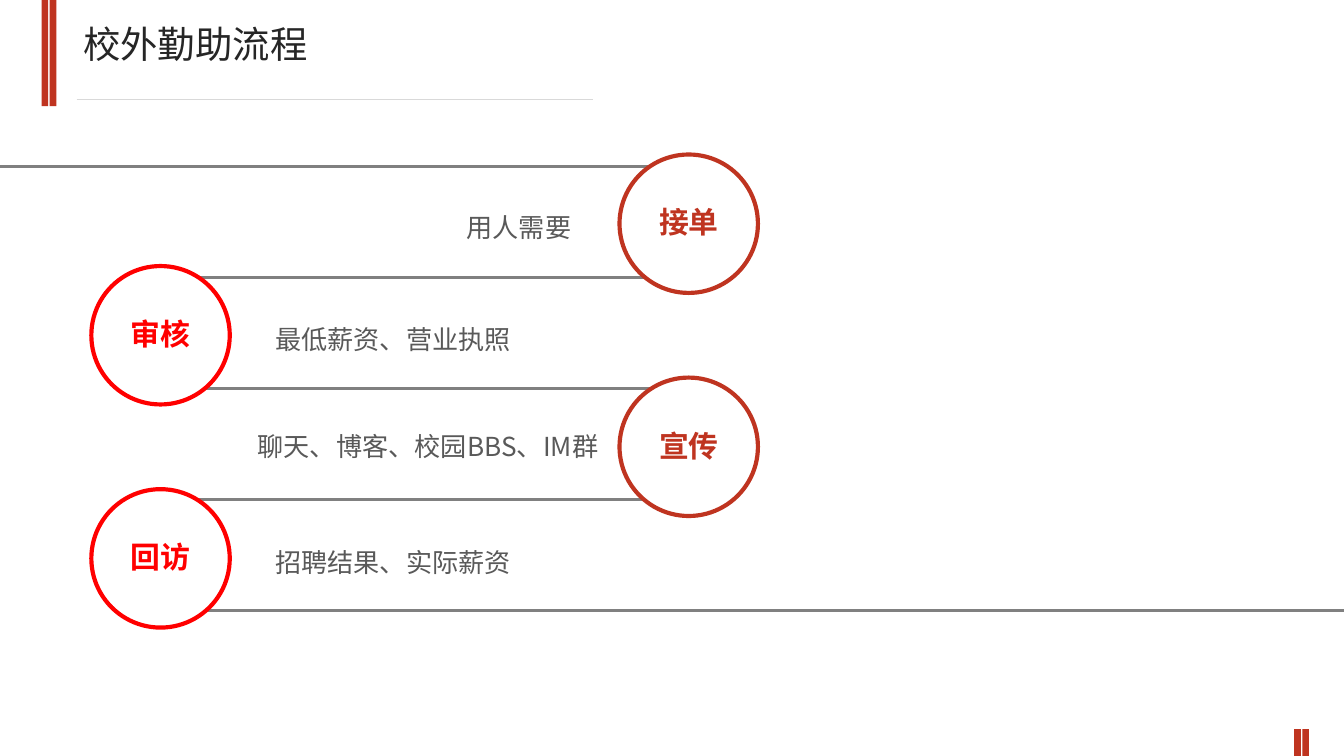
import pptx
import pptx.util
import pptx.dml.color
import pptx.enum.shapes
import pptx.enum.text
import pptx.oxml
import pptx.oxml.ns

SHAPE = pptx.enum.shapes.MSO_SHAPE
ALIGN = pptx.enum.text.PP_ALIGN
WIDTH = 10
HEIGHT = WIDTH * 9 / 16
BRICK, RED, GREY, INK = "BF3420", "FF0000", "808080", "595959"
SANS = "Noto Sans CJK SC"


def inches(*lengths):
    return [pptx.util.Inches(length) for length in lengths]


def color(hex_string):
    return pptx.dml.color.RGBColor.from_string(hex_string)


def add_rule(slide, start, end, y, hex_string, weight):
    rule = slide.shapes.add_connector(
        pptx.enum.shapes.MSO_CONNECTOR.STRAIGHT, *inches(start, y, end, y))
    rule.line.color.rgb = color(hex_string)
    rule.line.width = pptx.util.Pt(weight)
    rule._element.spPr.append(pptx.oxml.parse_xml(
        "<a:effectLst %s/>" % pptx.oxml.ns.nsdecls("a")))


def add_figure(slide, kind, box, fill, outline=None):
    figure = slide.shapes.add_shape(kind, *inches(*box))
    figure.shadow.inherit = False
    figure.fill.solid()
    figure.fill.fore_color.rgb = color(fill)
    if outline:
        figure.line.color.rgb = color(outline)
        figure.line.width = pptx.util.Pt(2.25)
    else:
        figure.line.fill.background()


def add_text(slide, box, words, size, hex_string, font=SANS, align=ALIGN.LEFT,
             bold=False, spacing=1, wrap=True):
    frame = slide.shapes.add_textbox(*inches(*box)).text_frame
    frame.word_wrap = wrap
    paragraph = frame.paragraphs[0]
    paragraph.text = words
    paragraph.alignment = align
    paragraph.line_spacing = spacing
    paragraph.font.name = font
    paragraph.font.size = pptx.util.Pt(size)
    paragraph.font.bold = bold
    paragraph.font.color.rgb = color(hex_string)


def add_stripes(slide, box):
    left, top, width, height = box
    stripe = 0.45 * width
    for x in (left, left + width - stripe):
        add_figure(slide, SHAPE.RECTANGLE, (x, top, stripe, height), BRICK)


def add_header(slide, box):
    left, top, width, height = box
    add_stripes(slide, (left, top, 0.11, height))
    add_rule(slide, left + 0.26, left + width, top + 0.94 * height, "D9D9D9", 0.75)
    add_text(slide, (left + 0.21, top + 0.11, width + 0.13, 0.44),
             "校外勤助流程", 20, "262626", font="Arial Narrow")


def add_step(slide, box, title, caption, on_right, caption_box):
    left, top, width, height = box
    diameter = height + 0.2
    outline = BRICK if on_right else RED
    x = left + width - diameter if on_right else left
    add_figure(slide, SHAPE.OVAL, (x, top, diameter, diameter), "FFFFFF", outline)
    add_text(slide, (x + 0.19, top + 0.32, diameter - 0.38, 0.37), title, 16,
             outline, align=ALIGN.CENTER, bold=True, wrap=False)
    offset, drop, span = caption_box
    add_text(slide, (left + offset, top + drop, span, 0.41), caption, 14, INK,
             align=ALIGN.RIGHT if on_right else ALIGN.LEFT, spacing=1.5)


def add_process(slide, box, steps):
    left, top, width, height = box
    row = height / len(steps)
    inner_left, inner_right = left + 0.52, left + width - 0.54
    for index in range(len(steps) + 1):
        start = 0 if index == 0 else inner_left
        end = WIDTH if index == len(steps) else inner_right
        add_rule(slide, start, end, top + 0.09 + index * (row - 0.005), GREY, 1.5)
    for index, (title, caption, caption_box) in enumerate(steps):
        add_step(slide, (left, top + index * row, width, row), title, caption,
                 index % 2 == 0, caption_box)


deck = pptx.Presentation()
deck.slide_width, deck.slide_height = inches(WIDTH, HEIGHT)
slide = deck.slides.add_slide(deck.slide_layouts[6])
narrow, wide = (1.27, 0.26, 2.4), (0.83, 0.23, 3.04)
add_header(slide, (0.31, 0, 4.1, 0.79))
add_stripes(slide, (9.63, HEIGHT - 0.2, 0.11, 0.2))
add_process(slide, (0.68, 1.15, 4.96, 3.32), [
    ("接单", "用人需要", narrow),
    ("审核", "最低薪资、营业执照", narrow),
    ("宣传", "聊天、博客、校园BBS、IM群", wide),
    ("回访", "招聘结果、实际薪资", narrow),
])
deck.save("out.pptx")
